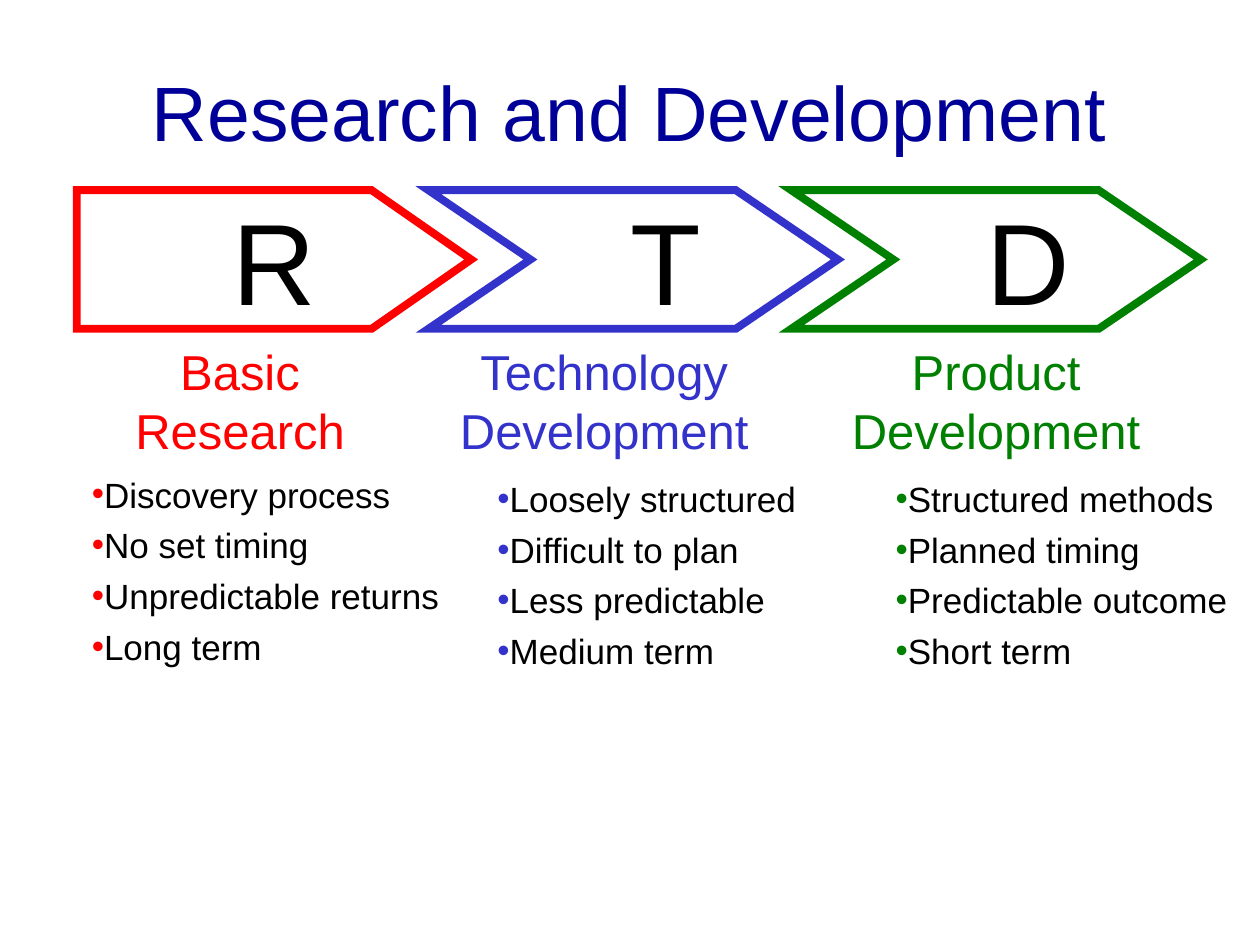
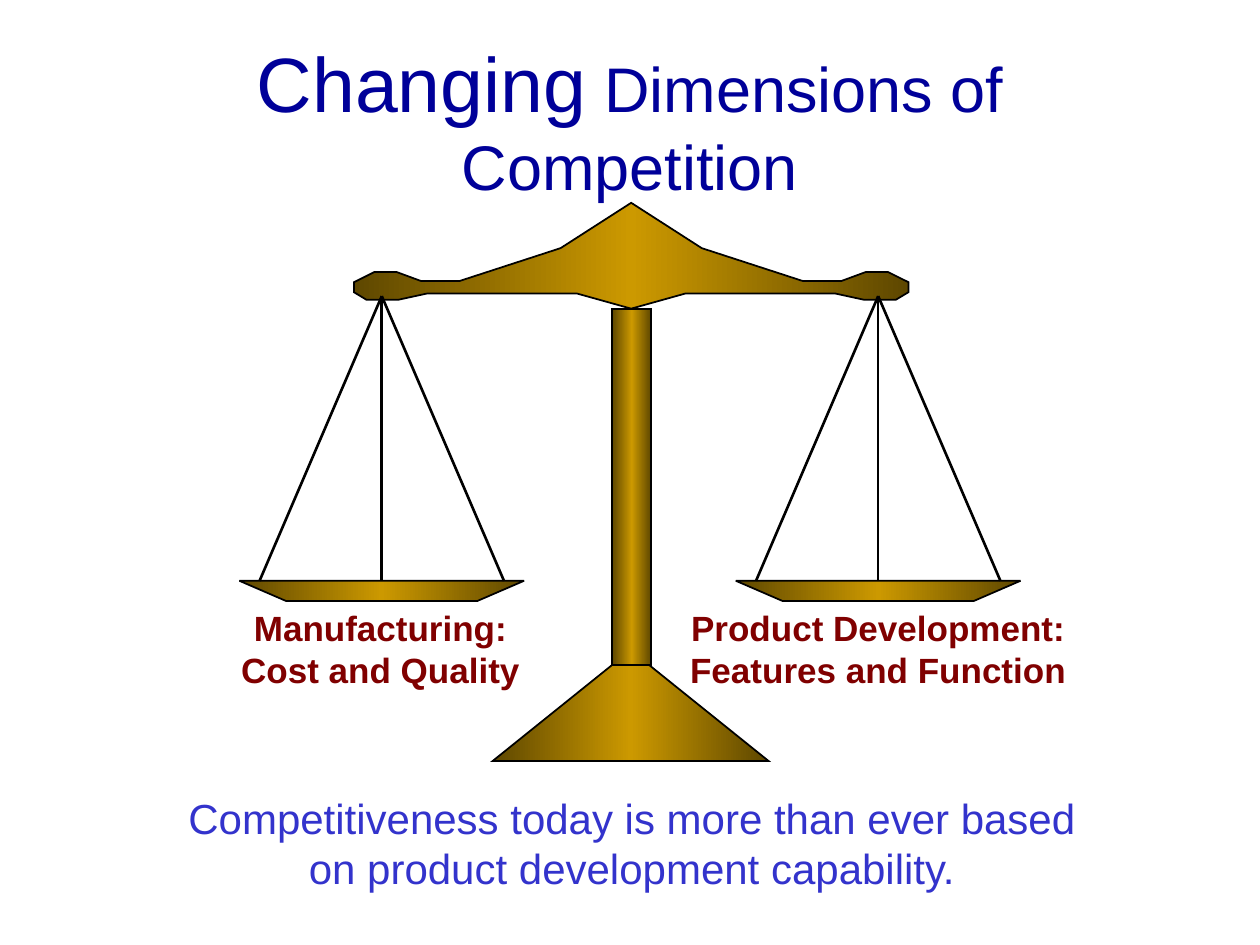
import copy

import pptx
import pptx.dml.color
import pptx.enum.shapes
import pptx.enum.text
import pptx.oxml
import pptx.oxml.ns
import pptx.util

Inches = pptx.util.Inches
Pt = pptx.util.Pt
qn = pptx.oxml.ns.qn
SHAPE = pptx.enum.shapes.MSO_SHAPE
ALIGN = pptx.enum.text.PP_ALIGN
ANCHOR = pptx.enum.text.MSO_ANCHOR

COLORS = {
    "title": "000099",
    "research": "FF0000",
    "technology": "3333CC",
    "product": "008000",
    "label": "800000",
    "brass": "CC9900",
    "shade": "5E4700",
    "black": "000000",
    "white": "FFFFFF",
}


def rgb(name):
    return pptx.dml.color.RGBColor.from_string(COLORS[name])


def add_text(p, text, size=20, color="black", bold=False):
    r = p.add_run()
    r.text = text
    r.font.name = "Arial"
    r.font.size = Pt(size)
    r.font.bold = bold
    r.font.color.rgb = rgb(color)


def sub_element(parent, tag, **attrs):
    el = parent.makeelement(qn(tag), attrs)
    parent.append(el)
    return el


class Deck:
    def __init__(self):
        self.prs = pptx.Presentation()
        self.prs.slide_width = Inches(10)
        self.prs.slide_height = Inches(7.5)
        self.slide = None

    def add_slide(self, box, *runs):
        self.slide = self.prs.slides.add_slide(self.prs.slide_layouts[5])
        sp = self.slide.shapes.title
        sp.left, sp.top, sp.width, sp.height = map(Inches, box)
        tf = sp.text_frame
        tf.word_wrap = True
        tf.auto_size = pptx.enum.text.MSO_AUTO_SIZE.NONE
        tf.vertical_anchor = ANCHOR.MIDDLE
        p = tf.paragraphs[0]
        p.alignment = ALIGN.CENTER
        for text, size in runs:
            add_text(p, text, size=size, color="title")

    def fill_frame(self, tf, lines, align=ALIGN.CENTER, before=0, spacing=None, **style):
        for i, line in enumerate(lines):
            p = tf.add_paragraph() if i else tf.paragraphs[0]
            p.alignment = align
            if spacing:
                p.line_spacing = spacing
            if i and before:
                p.space_before = Pt(before)
            add_text(p, line, **style)

    def text_box(self, box, lines, **style):
        tf = self.slide.shapes.add_textbox(*map(Inches, box)).text_frame
        tf.word_wrap = True
        self.fill_frame(tf, lines, **style)
        return tf

    def bullets(self, box, lines, color, margin):
        tf = self.text_box(box, lines, align=ALIGN.LEFT, before=5)
        for p in tf.paragraphs:
            pPr = p._p.get_or_add_pPr()
            pPr.set("marL", str(Inches(margin)))
            pPr.set("indent", "0")
            sub_element(sub_element(pPr, "a:buClr"), "a:srgbClr", val=COLORS[color])
            sub_element(pPr, "a:buFont", typeface="Arial")
            sub_element(pPr, "a:buChar", char="•")
        return tf

    def finish(self, sp, fill="white", line=None, width=1.0):
        sp.shadow.inherit = False
        if fill == "brass":
            self.brass(sp)
        else:
            sp.fill.solid()
            sp.fill.fore_color.rgb = rgb(fill)
        if line is None:
            sp.line.fill.background()
            return
        sp.line.color.rgb = rgb(line)
        sp.line.width = Pt(width)
        sub_element(sp.line._get_or_add_ln(), "a:miter", lim="800000")

    def brass(self, sp):
        sp.fill.gradient()
        sp.fill.gradient_angle = 0
        first, last = sp.fill.gradient_stops
        first.position, last.position = 0, 1
        first.color.rgb = last.color.rgb = rgb("shade")
        stops = sp._element.spPr.find(qn("a:gradFill")).find(qn("a:gsLst"))
        middle = copy.deepcopy(stops[0])
        middle.set("pos", "50000")
        middle.find(qn("a:srgbClr")).set("val", COLORS["brass"])
        stops.insert(1, middle)

    def shape(self, kind, box, **look):
        sp = self.slide.shapes.add_shape(kind, *map(Inches, box))
        self.finish(sp, **look)
        return sp

    def polygon(self, points, **look):
        points = [(Inches(x), Inches(y)) for x, y in points]
        builder = self.slide.shapes.build_freeform(*points[0])
        builder.add_line_segments(points[1:], close=True)
        sp = builder.convert_to_shape()
        self.finish(sp, **look)
        return sp

    def caption(self, sp, lines, indent=0.0, **style):
        tf = sp.text_frame
        tf.word_wrap = False
        tf.vertical_anchor = ANCHOR.MIDDLE
        tf.margin_left = Inches(0.1 + indent)
        tf.margin_right = Inches(0.1)
        self.fill_frame(tf, lines, **style)

    def line(self, start, end):
        cx = self.slide.shapes.add_connector(
            pptx.enum.shapes.MSO_CONNECTOR.STRAIGHT, *map(Inches, start + end))
        cx.line.color.rgb = rgb("black")
        cx.line.width = Pt(1.5)
        sub_element(cx._element.spPr, "a:effectLst")


def phase_arrow(deck, letter, color, left, width, tip, notched):
    top, middle, bottom = 1.51, 2.06, 2.61
    right = left + width
    points = [(left, top), (right - tip, top), (right, middle),
              (right - tip, bottom), (left, bottom)]
    if notched:
        points.append((left + tip, middle))
    sp = deck.polygon(points, line=color, width=4.5)
    deck.caption(sp, [letter], indent=0.51 if notched else 0, size=66)


def research_slide(deck):
    deck.add_slide((1.08, 0.25, 7.83, 1.25), ("Research and Development", 44))
    arrows = [
        ("R", "research", 0.61, 3.13, 0.79, False),
        ("T", "technology", 3.4, 3.25, 0.81, True),
        ("D", "product", 6.28, 3.25, 0.81, True),
    ]
    for arrow in arrows:
        phase_arrow(deck, *arrow)

    headings = [
        (0.42, "research", ["Basic", "Research"]),
        (3.31, "technology", ["Technology", "Development"]),
        (6.42, "product", ["Product", "Development"]),
    ]
    for left, color, lines in headings:
        deck.text_box((left, 2.75, 2.97, 0.94), lines, size=28, color=color,
                      before=7, spacing=0.8)

    traits = [
        (0.24, 3.77, "research", 0.39,
         ["Discovery process", "No set timing", "Unpredictable returns", "Long term"]),
        (3.46, 3.74, "technology", 0.39,
         ["Loosely structured", "Difficult to plan", "Less predictable", "Medium term"]),
        (6.38, 3.74, "product", 0.63,
         ["Structured methods", "Planned timing", "Predictable outcome", "Short term"]),
    ]
    frames = [deck.bullets((left, top, 3.53, 1.96), lines, color, margin)
              for left, top, color, margin, lines in traits]
    frames[0].paragraphs[0].line_spacing = 0.8


def scale_pan(deck, center):
    top, bottom = 4.61, 4.77
    deck.polygon([(center - 1.13, top), (center - 0.76, bottom),
                  (center + 0.76, bottom), (center + 1.13, top)],
                 fill="brass", line="black")
    for reach in (0.97, 0, -0.97):
        deck.line((center, 2.35), (center + reach, top))


def competition_slide(deck):
    deck.add_slide((0.75, 0.32, 8.5, 1.25),
                   ("Changing", 44), (" Dimensions of Competition", 36))
    deck.text_box(
        (1.33, 6.24, 7.37, 1.04),
        ["Competitiveness today is more than ever based on product development capability."],
        size=24, color="technology")

    labels = [
        (1.85, ["Manufacturing:", "Cost and Quality"]),
        (5.8, ["Product Development:", "Features and Function"]),
    ]
    for left, lines in labels:
        sp = deck.shape(SHAPE.RECTANGLE, (left, 4.78, 2.34, 0.74))
        deck.caption(sp, lines, color="label", bold=True)

    axis = 5.01
    half_beam = [(0, 1.61), (0.56, 1.97), (1.36, 2.23), (1.67, 2.23), (1.86, 2.16),
                 (2.04, 2.16), (2.2, 2.24), (2.2, 2.32), (2.1, 2.38), (1.85, 2.38),
                 (1.62, 2.33), (0.43, 2.33), (0, 2.45)]
    beam = [(axis + x, y) for x, y in half_beam]
    beam += [(axis - x, y) for x, y in half_beam[-2:0:-1]]
    brass = {"fill": "brass", "line": "black"}
    deck.polygon(beam, **brass)
    deck.shape(SHAPE.ISOSCELES_TRIANGLE, (3.91, 5.16, 2.19, 0.88), **brass)
    deck.shape(SHAPE.RECTANGLE, (4.86, 2.45, 0.31, 2.83), **brass)
    for center in (3.03, 6.97):
        scale_pan(deck, center)


def main():
    deck = Deck()
    research_slide(deck)
    competition_slide(deck)
    deck.prs.save("out.pptx")


if __name__ == "__main__":
    main()
